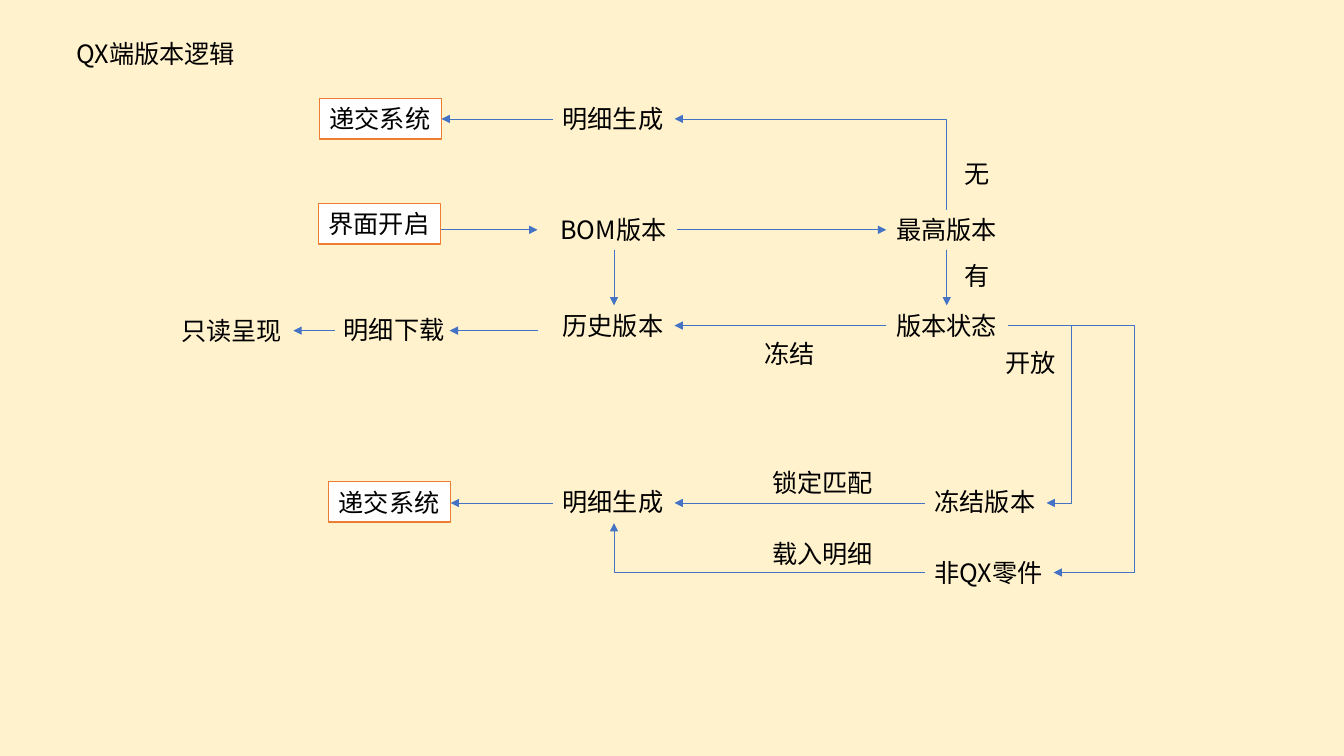
from dataclasses import dataclass
import lxml.etree
import pptx
import pptx.dml.color
import pptx.enum.shapes
import pptx.enum.text
import pptx.oxml.ns
import pptx.util
from pptx.util import Inches

FONT = "Noto Sans CJK SC"
BLACK, WHITE, CREAM, ORANGE, BLUE = "000000", "FFFFFF", "FFF2CC", "ED7D31", "4472C4"
HEIGHT = 0.4
ONE_CHAR, TWO_CHARS, FOUR_CHARS = 0.45, 0.71, 1.21


@dataclass
class Label:
    text: str
    left: float
    top: float
    width: float = FOUR_CHARS
    framed: bool = False


@dataclass
class Arrow:
    start: tuple[float, float]
    end: tuple[float, float]
    preset: str = "line"
    rotation: int = 0
    bend: float | None = None  # place of the middle segment, as a share of the width


LABELS = [
    Label("QX端版本逻辑", 0.66, 0.33, 1.79),
    # Submission without an earlier version
    Label("递交系统", 3.17, 0.98, framed=True),
    Label("明细生成", 5.48, 0.98),
    Label("无", 9.47, 1.52, ONE_CHAR),
    # Start and version lookup
    Label("界面开启", 3.16, 2.02, framed=True),
    Label("BOM版本", 5.46, 2.08, 1.26),
    Label("最高版本", 8.79, 2.08),
    Label("有", 9.47, 2.53, ONE_CHAR),
    # Version state
    Label("只读呈现", 1.7, 3.08),
    Label("明细下载", 3.31, 3.07),
    Label("历史版本", 5.48, 3.03),
    Label("版本状态", 8.79, 3.03),
    Label("冻结", 7.48, 3.31, TWO_CHARS),
    Label("开放", 9.87, 3.4, TWO_CHARS),
    # Submission of an open version
    Label("递交系统", 3.26, 4.78, framed=True),
    Label("明细生成", 5.48, 4.78),
    Label("锁定匹配", 7.56, 4.59),
    Label("冻结版本", 9.17, 4.78),
    Label("载入明细", 7.56, 5.29),
    Label("非QX零件", 9.17, 5.48, 1.29),
]

ARROWS = [
    Arrow((5.48, 1.18), (4.38, 1.18)),
    Arrow((4.37, 2.28), (5.33, 2.28)),
    Arrow((6.71, 2.28), (8.79, 2.28)),
    Arrow((9.39, 2.48), (9.39, 3.03)),
    Arrow((6.09, 2.48), (6.09, 3.03)),
    Arrow((8.79, 3.23), (6.69, 3.23)),
    Arrow((5.34, 3.28), (4.46, 3.28)),
    Arrow((3.32, 3.28), (2.91, 3.28)),
    Arrow((9.17, 4.99), (6.69, 4.99)),
    Arrow((5.48, 4.99), (4.47, 4.99)),
    # Bent arrows; the rotated ones give the corners before rotation
    Arrow((7.59, 2.98), (8.49, 0.28), "bentConnector2", rotation=270),
    Arrow((6.09, 5.19), (9.17, 5.68), "bentConnector2", rotation=180),
    Arrow((10, 3.23), (10.38, 4.99), "bentConnector3", bend=1.66),
    Arrow((10, 3.23), (10.45, 5.68), "bentConnector3", bend=2.78),
]


def color(value: str) -> pptx.dml.color.RGBColor:
    return pptx.dml.color.RGBColor.from_string(value)


def write(box, text: str, *, size: float = 18, ink: str = BLACK, font: str = FONT) -> None:
    frame = box.text_frame
    frame.word_wrap = True
    para = frame.paragraphs[0]
    para.alignment = pptx.enum.text.PP_ALIGN.LEFT
    span = para.add_run()
    span.text = text
    span.font.size = pptx.util.Pt(size)
    span.font.color.rgb = color(ink)
    span.font.name = font
    east_asian = lxml.etree.SubElement(span.font._element, pptx.oxml.ns.qn("a:ea"))
    east_asian.set("typeface", font)


def draw_label(page, label: Label) -> None:
    place = [Inches(v) for v in (label.left, label.top, label.width, HEIGHT)]
    if label.framed:
        box = page.shapes.add_shape(pptx.enum.shapes.MSO_SHAPE.RECTANGLE, *place)
        box.shadow.inherit = False
        box.fill.solid()
        box.fill.fore_color.rgb = color(WHITE)
        box.line.color.rgb = color(ORANGE)
        box.line.width = pptx.util.Pt(1)
    else:
        box = page.shapes.add_textbox(*place)
    write(box, label.text)


def draw_arrow(page, arrow: Arrow) -> None:
    ends = [Inches(v) for v in (*arrow.start, *arrow.end)]
    line = page.shapes.add_connector(pptx.enum.shapes.MSO_CONNECTOR.STRAIGHT, *ends)
    line.line.color.rgb = color(BLUE)
    line.line.width = pptx.util.Pt(0.5)
    qn = pptx.oxml.ns.qn
    properties = line._element.spPr
    # Bend and rotation
    geometry = properties.find(qn("a:prstGeom"))
    geometry.set("prst", arrow.preset)
    if arrow.rotation:
        properties.find(qn("a:xfrm")).set("rot", str(arrow.rotation * 60000))
    if arrow.bend is not None:
        guide = lxml.etree.SubElement(geometry.find(qn("a:avLst")), qn("a:gd"))
        guide.set("name", "adj1")
        guide.set("fmla", f"val {round(arrow.bend * 100000)}")
    # Arrowhead, no shadow
    head = lxml.etree.SubElement(properties.find(qn("a:ln")), qn("a:tailEnd"))
    head.set("type", "triangle")
    lxml.etree.SubElement(properties, qn("a:effectLst"))


deck = pptx.Presentation()
deck.slide_width, deck.slide_height = Inches(13.33), Inches(7.5)
page = deck.slides.add_slide(deck.slide_layouts[6])
page.background.fill.solid()
page.background.fill.fore_color.rgb = color(CREAM)

for item in LABELS:
    draw_label(page, item)
for item in ARROWS:
    draw_arrow(page, item)

deck.save("out.pptx")
